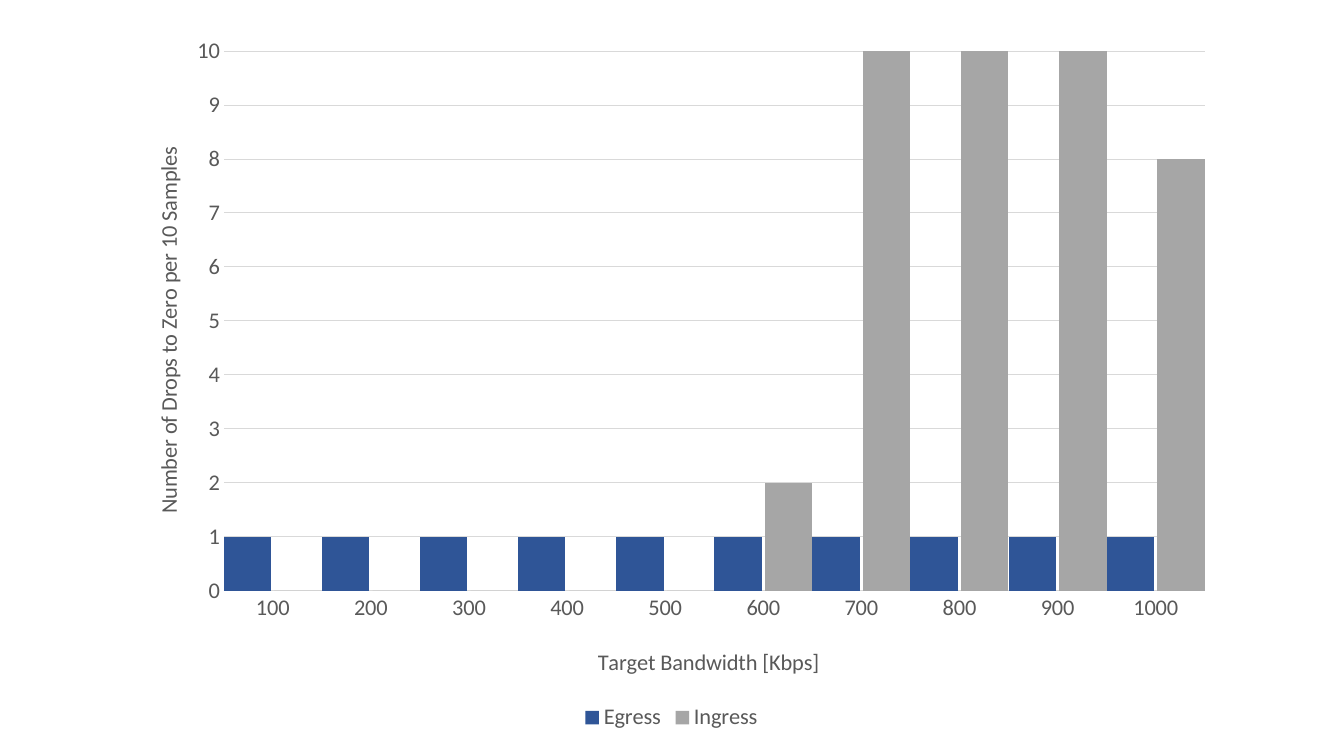
from dataclasses import dataclass

from lxml.etree import SubElement
from pptx import Presentation
from pptx.chart.data import CategoryChartData
from pptx.dml.color import RGBColor
from pptx.enum.chart import XL_CHART_TYPE, XL_LEGEND_POSITION, XL_TICK_MARK
from pptx.oxml.ns import qn
from pptx.util import Inches, Pt


@dataclass(frozen=True)
class Theme:
    """Colours and type sizes of the slide."""
    font: str = "Calibri"
    size: int = 16
    text: str = "595959"
    line: str = "D9D9D9"
    egress: str = "2F5597"
    ingress: str = "A6A6A6"


THEME = Theme()


def style_font(font):
    """Apply the common chart text style."""
    font.name = THEME.font
    font.size = Pt(THEME.size)
    font.bold = False
    font.color.rgb = RGBColor.from_string(THEME.text)


def style_line(line):
    """Apply the thin grey rule style."""
    line.color.rgb = RGBColor.from_string(THEME.line)
    line.width = Pt(0.75)


def set_layout(element, index, **settings):
    """Place a chart part by fractions of the chart area."""
    for previous in element.findall(qn("c:layout")):
        element.remove(previous)
    layout = SubElement(element, qn("c:layout"))
    element.insert(index, layout)
    manual = SubElement(layout, qn("c:manualLayout"))
    for name, value in settings.items():
        SubElement(manual, qn(f"c:{name}")).set("val", str(value))


def style_axis(axis, title, x, y):
    """Style an axis and place its title."""
    axis.major_tick_mark = XL_TICK_MARK.NONE
    axis.minor_tick_mark = XL_TICK_MARK.NONE
    style_font(axis.tick_labels.font)
    text_frame = axis.axis_title.text_frame
    text_frame.text = title
    style_font(text_frame.paragraphs[0].font)
    set_layout(text_frame._txBody.getparent().getparent(), 1,
               xMode="edge", yMode="edge", x=x, y=y)


def add_drops_chart(slide):
    """Add the clustered columns of drops per target bandwidth."""
    data = CategoryChartData()
    data.categories = [str(bandwidth) for bandwidth in range(100, 1001, 100)]
    data.add_series("Egress", [1] * 10)
    data.add_series("Ingress", [0] * 5 + [2, 10, 10, 10, 8])
    chart = slide.shapes.add_chart(
        XL_CHART_TYPE.COLUMN_CLUSTERED, Inches(1.15), Inches(0.21),
        Inches(11.02), Inches(7.09), data).chart
    chart.has_title = False
    style_font(chart.font)

    plot = chart.plots[0]
    plot.gap_width = 0
    plot.overlap = -7
    plot.vary_by_categories = False
    for series, color in zip(plot.series, (THEME.egress, THEME.ingress)):
        series.format.fill.solid()
        series.format.fill.fore_color.rgb = RGBColor.from_string(color)

    style_axis(chart.category_axis, "Target Bandwidth [Kbps]", 0.43, 0.87)
    style_line(chart.category_axis.format.line)
    value_axis = chart.value_axis
    style_axis(value_axis, "Number of Drops to Zero per 10 Samples", 0.03, 0.17)
    value_axis.minimum_scale = 0
    value_axis.maximum_scale = 10
    value_axis.major_unit = 1
    value_axis.format.line.fill.background()
    style_line(value_axis.major_gridlines.format.line)

    chart.has_legend = True
    chart.legend.position = XL_LEGEND_POSITION.BOTTOM
    chart.legend.include_in_layout = False
    style_font(chart.legend.font)
    set_layout(chart._chartSpace.chart.plotArea, 0, layoutTarget="inner",
               xMode="edge", yMode="edge", x=0.097, y=0.042, w=0.883, h=0.755)


def main():
    """Build and save the presentation."""
    presentation = Presentation()
    presentation.slide_width = Inches(13.33)
    presentation.slide_height = Inches(7.5)
    slide = presentation.slides.add_slide(presentation.slide_layouts[6])
    add_drops_chart(slide)
    presentation.save("out.pptx")


main()
